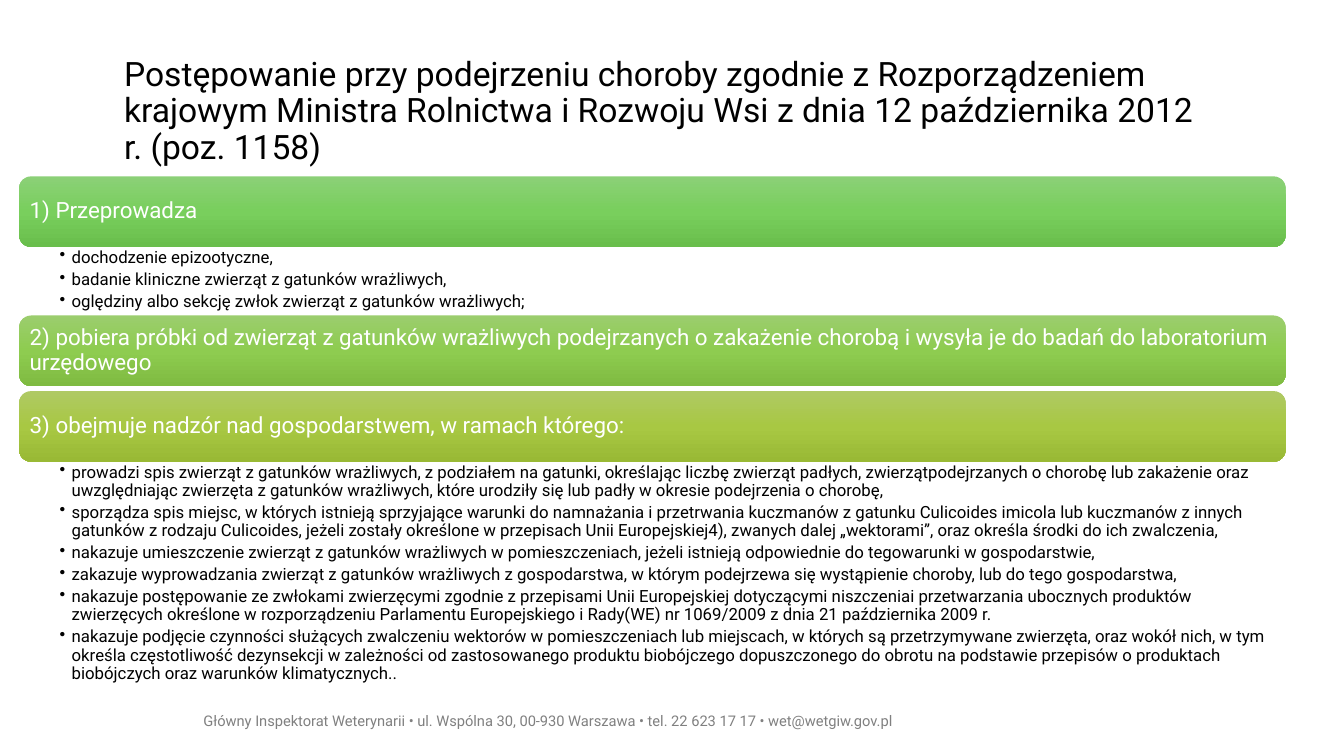
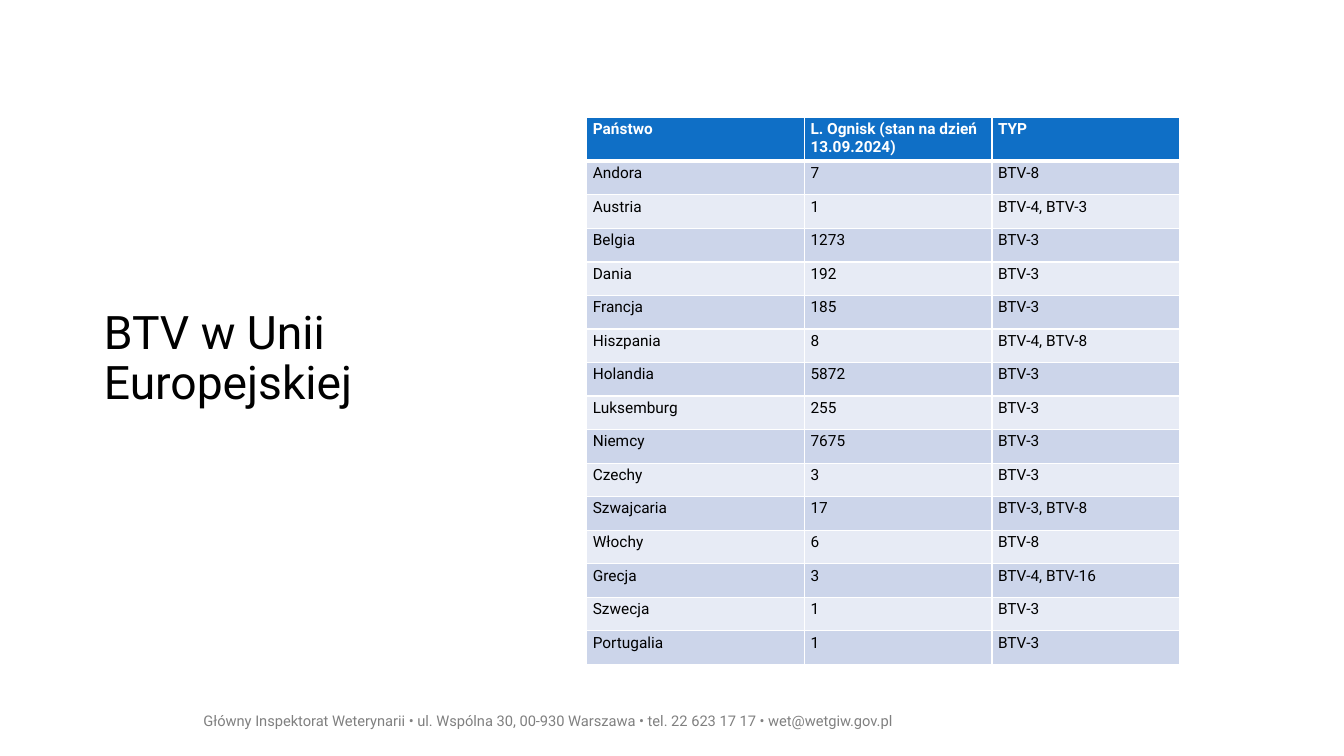
from copy import deepcopy

from lxml import etree
from pptx import Presentation
from pptx.dml.color import RGBColor
from pptx.enum.shapes import MSO_SHAPE
from pptx.enum.text import MSO_ANCHOR, MSO_AUTO_SIZE, PP_ALIGN
from pptx.oxml.ns import qn
from pptx.util import Inches, Pt

ROUNDED = MSO_SHAPE.ROUNDED_RECTANGLE
TOP, MIDDLE = MSO_ANCHOR.TOP, MSO_ANCHOR.MIDDLE
LEFT = PP_ALIGN.LEFT
NO_AUTOFIT = MSO_AUTO_SIZE.NONE
TITLE_ONLY = 5

FONT = "Roboto"
BLACK, WHITE, GREY = "000000", "FFFFFF", "808080"
HEADER_BLUE, BAND_DARK, BAND_LIGHT = "0F6FC6", "CCD5EA", "E7EBF5"
GREEN = ("8BD077", "79CF5D", "69BE4C")
LIME = ("9BCD6D", "8ECC50", "7FBB41")
OLIVE = ("AFC964", "A8C843", "99B935")

FOOTER = ("Główny Inspektorat Weterynarii • ul. Wspólna 30, 00-930 Warszawa • "
          "tel. 22 623 17 17 • wet@wetgiw.gov.pl")

# Each section: heading, gradient, bullets, height below the bar in grid rows.
SECTIONS = [
    ("1) Przeprowadza", GREEN, [
        "dochodzenie epizootyczne,",
        "badanie kliniczne zwierząt z gatunków wrażliwych,",
        "oględziny albo sekcję zwłok zwierząt z gatunków wrażliwych;",
    ], 9.07),
    ("2) pobiera próbki od zwierząt z gatunków wrażliwych podejrzanych o zakażenie "
     "chorobą i wysyła je do badań do laboratorium urzędowego", LIME, [], 0.67),
    ("3) obejmuje nadzór nad gospodarstwem, w ramach którego:", OLIVE, [
        "prowadzi spis zwierząt z gatunków wrażliwych, z podziałem na gatunki, "
        "określając liczbę zwierząt padłych, zwierzątpodejrzanych o chorobę lub "
        "zakażenie oraz uwzględniając zwierzęta z gatunków wrażliwych, które "
        "urodziły się lub padły w okresie podejrzenia o chorobę,",
        "sporządza spis miejsc, w których istnieją sprzyjające warunki do "
        "namnażania i przetrwania kuczmanów z gatunku Culicoides imicola lub "
        "kuczmanów z innych gatunków z rodzaju Culicoides, jeżeli zostały określone "
        "w przepisach Unii Europejskiej4), zwanych dalej „wektorami”, oraz określa "
        "środki do ich zwalczenia,",
        "nakazuje umieszczenie zwierząt z gatunków wrażliwych w pomieszczeniach, "
        "jeżeli istnieją odpowiednie do tegowarunki w gospodarstwie,",
        "zakazuje wyprowadzania zwierząt z gatunków wrażliwych z gospodarstwa, w "
        "którym podejrzewa się wystąpienie choroby, lub do tego gospodarstwa,",
        "nakazuje postępowanie ze zwłokami zwierzęcymi zgodnie z przepisami Unii "
        "Europejskiej dotyczącymi niszczeniai przetwarzania ubocznych produktów "
        "zwierzęcych określone w rozporządzeniu Parlamentu Europejskiego i Rady(WE) "
        "nr 1069/2009 z dnia 21 października 2009 r.",
        "nakazuje podjęcie czynności służących zwalczeniu wektorów w "
        "pomieszczeniach lub miejscach, w których są przetrzymywane zwierzęta, oraz "
        "wokół nich, w tym określa częstotliwość dezynsekcji w zależności od "
        "zastosowanego produktu biobójczego dopuszczonego do obrotu na podstawie "
        "przepisów o produktach biobójczych oraz warunków klimatycznych..",
    ], 37.2),
]

OUTBREAKS = [
    ("Państwo", "L. Ognisk (stan na dzień 13.09.2024)", "TYP"),
    ("Andora", "7", "BTV-8"),
    ("Austria", "1", "BTV-4, BTV-3"),
    ("Belgia", "1273", "BTV-3"),
    ("Dania", "192", "BTV-3"),
    ("Francja", "185", "BTV-3"),
    ("Hiszpania", "8", "BTV-4, BTV-8"),
    ("Holandia", "5872", "BTV-3"),
    ("Luksemburg", "255", "BTV-3"),
    ("Niemcy", "7675", "BTV-3"),
    ("Czechy", "3", "BTV-3"),
    ("Szwajcaria", "17", "BTV-3, BTV-8"),
    ("Włochy", "6", "BTV-8"),
    ("Grecja", "3", "BTV-4, BTV-16"),
    ("Szwecja", "1", "BTV-3"),
    ("Portugalia", "1", "BTV-3"),
]


def rgb(color):
    return RGBColor.from_string(color)


def add_bullet(p, indent=0.12):
    pPr = p._p.get_or_add_pPr()
    pPr.set("marL", str(Inches(indent)))
    pPr.set("indent", str(-Inches(indent)))
    etree.SubElement(pPr, qn("a:buChar")).set("char", "•")


def write(tf, text, size=12, color=BLACK, bold=False, anchor=TOP, spacing=1.0,
          after=0, bullets=False, margins=(0.1, 0.05, 0.1, 0.05)):
    """Fill a text frame with a string, or with a list of paragraphs."""
    tf.word_wrap = True
    tf.auto_size = NO_AUTOFIT
    tf.vertical_anchor = anchor
    tf.margin_left, tf.margin_top, tf.margin_right, tf.margin_bottom = map(Inches, margins)
    for i, line in enumerate([text] if isinstance(text, str) else text):
        p = tf.add_paragraph() if i else tf.paragraphs[0]
        p.alignment = LEFT
        p.line_spacing = spacing
        p.space_after = Pt(after)
        if bullets:
            add_bullet(p)
        r = p.add_run()
        r.text = line
        r.font.name, r.font.size, r.font.bold = FONT, Pt(size), bold
        r.font.color.rgb = rgb(color)


def set_borders(cell, top=1, bottom=1):
    tcPr = cell._tc.get_or_add_tcPr()
    for side, width in (("L", 1), ("R", 1), ("T", top), ("B", bottom)):
        ln = etree.SubElement(tcPr, qn(f"a:ln{side}"), w=str(Pt(width)))
        fill = etree.SubElement(ln, qn("a:solidFill"))
        etree.SubElement(fill, qn("a:srgbClr"), val=WHITE)


class Deck:
    """Holds the style and the current slide; lengths are cells of a 100 x 100 grid."""

    def __init__(self):
        self.prs = Presentation()
        self.prs.slide_width, self.prs.slide_height = Inches(13.33), Inches(7.5)
        self.s = None

    def x(self, cols):
        return round(self.prs.slide_width * cols / 100)

    def y(self, rows):
        return round(self.prs.slide_height * rows / 100)

    def box(self, left, top, width, height):
        return self.x(left), self.y(top), self.x(width), self.y(height)

    def new_slide(self, title, at, size):
        self.s = self.prs.slides.add_slide(self.prs.slide_layouts[TITLE_ONLY])
        sp = self.s.shapes.title
        sp.left, sp.top, sp.width, sp.height = self.box(*at)
        write(sp.text_frame, title, size=size, anchor=MIDDLE, spacing=0.9)
        self.text(FOOTER, (14.4, 93.47, 78.75, 6), size=10.5, color=GREY)

    def text(self, text, at, **style):
        sp = self.s.shapes.add_textbox(*self.box(*at))
        write(sp.text_frame, text, **style)

    def bar(self, text, at, colors):
        sp = self.s.shapes.add_shape(ROUNDED, *self.box(*at))
        sp.shadow.inherit = False
        sp.line.fill.background()
        sp.fill.gradient()
        sp.fill.gradient_angle = 270
        stops = sp._element.spPr.find(".//" + qn("a:gsLst"))
        stops.insert(1, deepcopy(stops[0]))
        for stop, position, color in zip(sp.fill.gradient_stops, (0, 0.5, 1), colors):
            stop.position = position
            stop.color.rgb = rgb(color)
        write(sp.text_frame, text, size=16, color=WHITE, anchor=MIDDLE, spacing=0.9,
              margins=(0.07,) * 4)

    def table(self, rows, left, top, widths, header_height, row_height):
        heights = [header_height] + [row_height] * (len(rows) - 1)
        at = self.box(left, top, sum(widths), sum(heights))
        table = self.s.shapes.add_table(len(rows), len(widths), *at).table
        for column, width in zip(table.columns, widths):
            column.width = self.x(width)
        for i, (values, height) in enumerate(zip(rows, heights)):
            table.rows[i].height = self.y(height)
            header = i == 0
            fill = HEADER_BLUE if header else BAND_DARK if i % 2 else BAND_LIGHT
            for j, value in enumerate(values):
                cell = table.cell(i, j)
                set_borders(cell, top=3 if i == 1 else 1, bottom=3 if header else 1)
                cell.fill.solid()
                cell.fill.fore_color.rgb = rgb(fill)
                cell.margin_left = cell.margin_right = Inches(0.06)
                cell.margin_top = cell.margin_bottom = Inches(0.03)
                p = cell.text_frame.paragraphs[0]
                r = p.add_run()
                r.text = value
                r.font.name, r.font.size, r.font.bold = FONT, Pt(11), header
                r.font.color.rgb = rgb(WHITE if header else BLACK)


def procedure_slide(deck):
    deck.new_slide("Postępowanie przy podejrzeniu choroby zgodnie z Rozporządzeniem "
                   "krajowym Ministra Rolnictwa i Rozwoju Wsi z dnia 12 października "
                   "2012 r. (poz. 1158)", (8.48, 4, 81.25, 21.6), size=24)
    left, width, bar_height, top = 1.43, 94.22, 9.33, 23.33
    for heading, colors, bullets, body_height in SECTIONS:
        deck.bar(heading, (left, top, width, bar_height), colors)
        top += bar_height
        if bullets:
            deck.text(bullets, (left, top, width, body_height), bullets=True,
                      spacing=0.9, after=2.8, margins=(0.4, 0.02, 0.12, 0.02))
        top += body_height


def outbreaks_slide(deck):
    deck.new_slide("BTV w Unii Europejskiej", (6.98, 16.53, 22.5, 62), size=33)
    deck.table(OUTBREAKS, 43.66, 15.47, widths=(16.2, 13.95, 13.95),
               header_height=5.87, row_height=4.44)


def main():
    deck = Deck()
    procedure_slide(deck)
    outbreaks_slide(deck)
    deck.prs.save("out.pptx")


if __name__ == "__main__":
    main()
